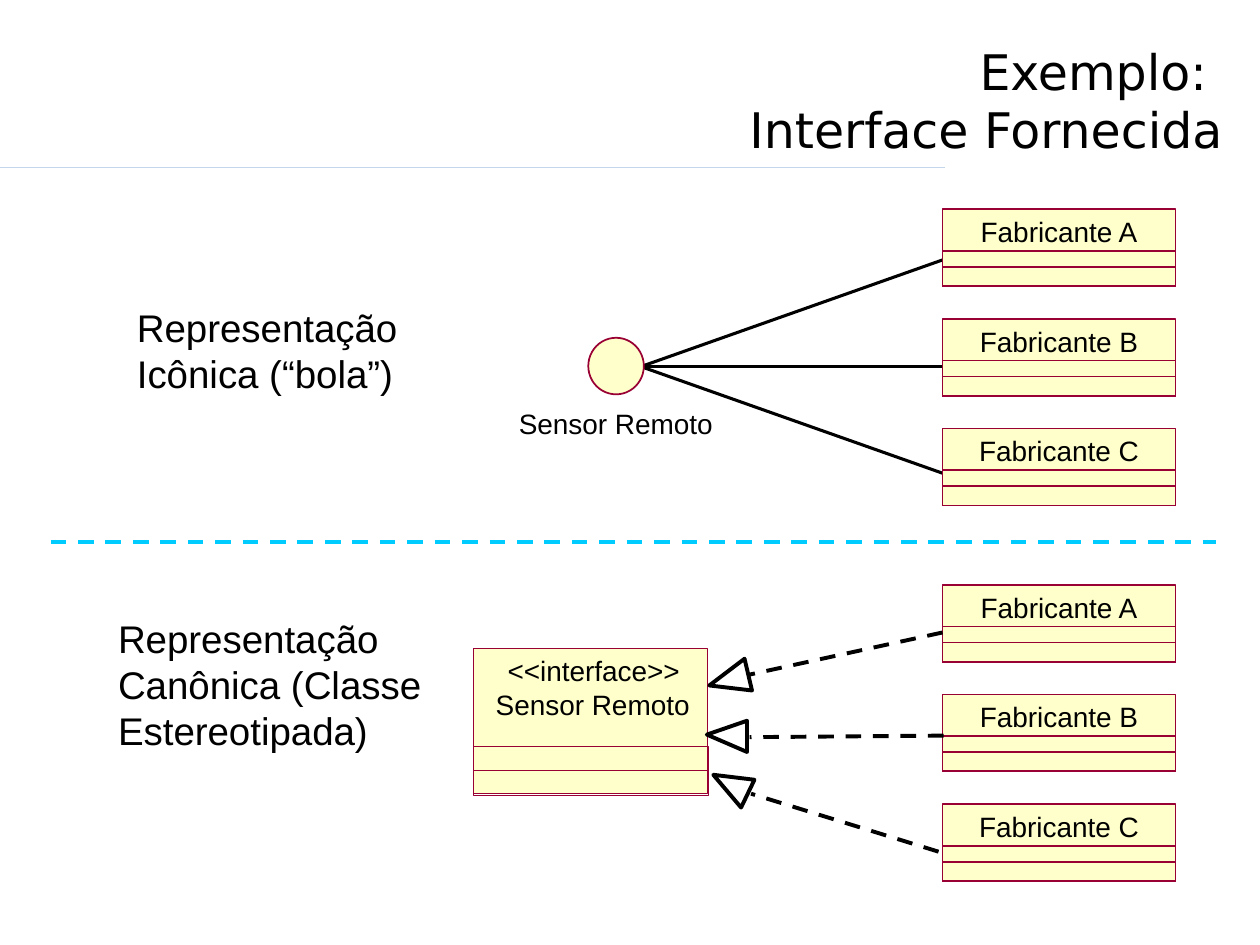
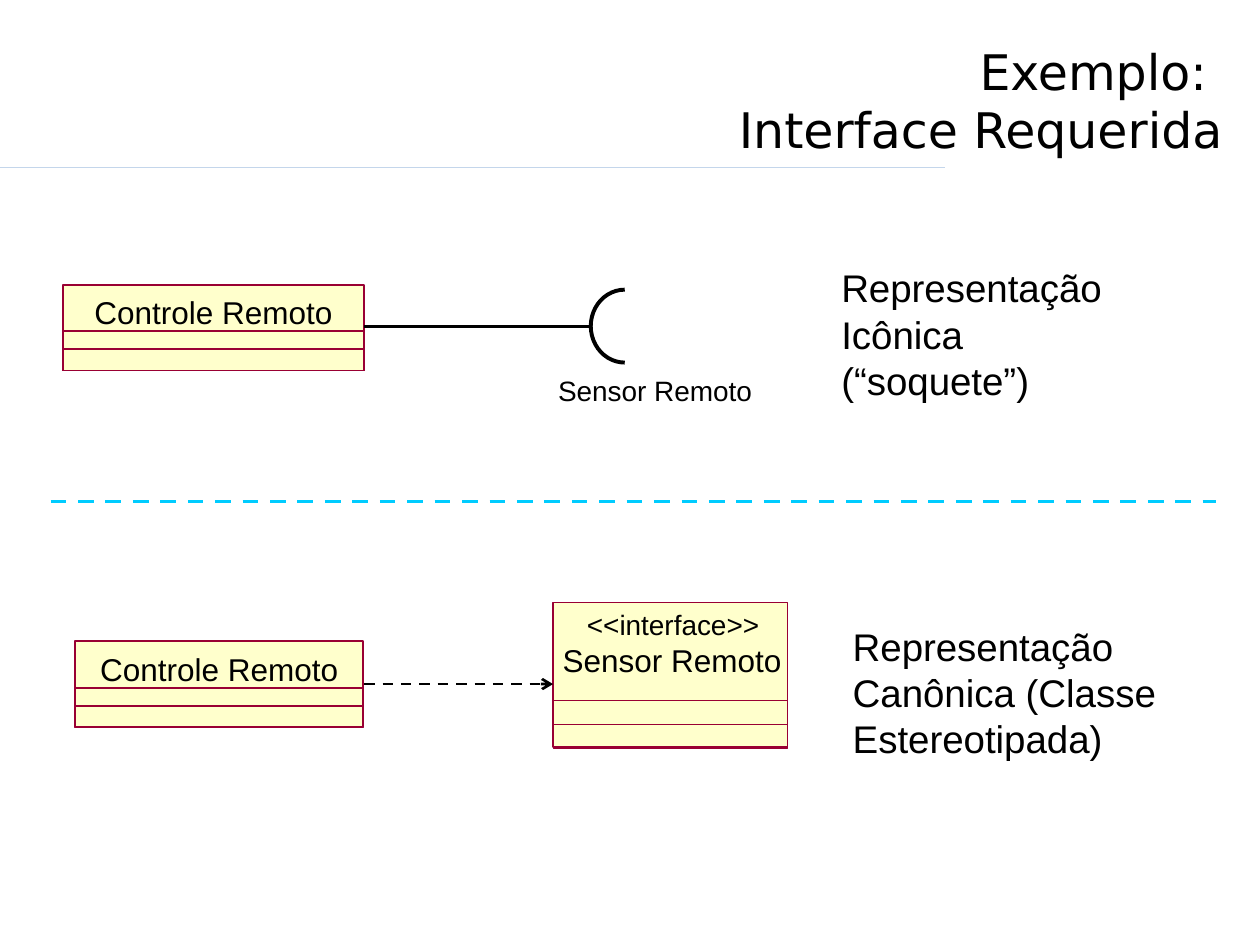
from lxml import etree
from pptx import Presentation
from pptx.dml.color import RGBColor
from pptx.enum.dml import MSO_LINE
from pptx.enum.shapes import MSO_CONNECTOR, MSO_SHAPE
from pptx.enum.text import MSO_ANCHOR, PP_ALIGN
from pptx.oxml.ns import qn
from pptx.util import Cm, Pt

RECT, OVAL, ARC = MSO_SHAPE.RECTANGLE, MSO_SHAPE.OVAL, MSO_SHAPE.ARC
STRAIGHT, DASH = MSO_CONNECTOR.STRAIGHT, MSO_LINE.DASH
LEFT, CENTER, RIGHT = PP_ALIGN.LEFT, PP_ALIGN.CENTER, PP_ALIGN.RIGHT
TOP, BOTTOM = MSO_ANCHOR.TOP, MSO_ANCHOR.BOTTOM
BLACK, CREAM, WINE, CYAN, PALE = "000000", "FFFFCC", "990033", "00CCFF", "C4D6EB"
MAKERS = ("Fabricante A", "Fabricante B", "Fabricante C")
PITCH = 2.21
CANON = "Representação Canônica (Classe Estereotipada)"


def paint(hue):
    """Return the colour of a hex string."""
    return RGBColor.from_string(hue)


def style(shape, hue, width, fill=None):
    """Set the outline and fill of a shape and drop its shadow."""
    shape.shadow.inherit = False
    shape.line.color.rgb = paint(hue)
    shape.line.width = Pt(width)
    if fill:
        shape.fill.solid()
        shape.fill.fore_color.rgb = paint(fill)
    else:
        shape.fill.background()


def form(shapes, kind, x, y, w, h, hue=WINE, width=1, fill=None):
    """Add a preset shape."""
    shape = shapes.add_shape(kind, Cm(x), Cm(y), Cm(w), Cm(h))
    style(shape, hue, width, fill)
    return shape


def line(shapes, x1, y1, x2, y2, hue=BLACK, width=1.75, dash=False, head=False):
    """Add a straight line, dashed or with an arrowhead if asked."""
    link = shapes.add_connector(STRAIGHT, Cm(x1), Cm(y1), Cm(x2), Cm(y2))
    link.line.color.rgb = paint(hue)
    link.line.width = Pt(width)
    if dash:
        link.line.dash_style = DASH
    if head:
        etree.SubElement(link.get_or_add_ln(), qn("a:tailEnd"), type="arrow")
    etree.SubElement(link.element.spPr, qn("a:effectLst"))


def write(shapes, text, x, y, w, h, size=16, font="Arial", align=LEFT,
          anchor=TOP, pad=(0, 0), wrap=True):
    """Add a text box."""
    frame = shapes.add_textbox(Cm(x), Cm(y), Cm(w), Cm(h)).text_frame
    frame.word_wrap = wrap
    frame.vertical_anchor = anchor
    frame.margin_left = frame.margin_right = Cm(pad[0])
    frame.margin_top = frame.margin_bottom = Cm(pad[1])
    para = frame.paragraphs[0]
    para.text = text
    para.alignment = align
    para.font.size = Pt(size)
    para.font.name = font
    para.font.color.rgb = paint(BLACK)


def note(shapes, text, x, y, w, h):
    """Add a large caption beside a diagram."""
    write(shapes, text, x, y, w, h, size=22, pad=(0.3, 0.15))


def block(shapes, name, x, y, w, h, size=16, gap=0.05):
    """Draw a class with two empty compartments."""
    group = shapes.add_group_shape().shapes
    form(group, RECT, x, y, w, h, fill=CREAM)
    for part in (0.54, 0.75):
        form(group, RECT, x, y + part * h, w, (1 - part) * h)
    high = size * 0.0425
    write(group, name, x + 0.25, y + 0.54 * h - high - gap, w - 0.5, high,
          size=size, align=CENTER)


def face(shapes, x, y, size):
    """Draw the interface class."""
    w = 4.72
    form(shapes, RECT, x, y, w, 2.92, width=0, fill=CREAM)
    form(shapes, RECT, x, y + 1.97, w, 0.98, width=0.25)
    line(shapes, x, y + 2.45, x + w, y + 2.45, WINE, 0.25)
    write(shapes, "<<interface>>", x + 0.06, y + 0.1, w, 0.68, align=CENTER)
    write(shapes, "Sensor Remoto", x + 0.04, y + 0.79, w, 0.72, size=size,
          align=CENTER)


def stack(shapes, x, y):
    """Draw the column of makers."""
    for row, name in enumerate(MAKERS):
        block(shapes, name, x, y + row * PITCH, 4.7, 1.55)


def ball(shapes, x, y):
    """Draw the provided interface as a ball."""
    for row in range(3):
        line(shapes, x + 19, y + 1.02 + row * 2.15, x + 12.92, y + 3.17)
    form(shapes, OVAL, x + 11.86, y + 2.59, 1.12, 1.14, fill=CREAM)
    write(shapes, "Sensor Remoto", x + 10.46, y + 3.98, 3.96, 0.68, wrap=False)
    stack(shapes, x + 19, y)
    note(shapes, "Representação Icônica (“bola”)", x + 2.46, y + 1.75, 6.55, 2.18)


def real(shapes, x, y):
    """Draw the makers that realise the interface class."""
    face(shapes, x + 9.55, y + 1.29, 16)
    stack(shapes, x + 19, y)
    for x1, y1, x2, y2 in ((19, 0.96, 15.06, 1.82), (19.02, 3.04, 15.11, 3.07),
                           (18.92, 5.38, 15.14, 4.21)):
        line(shapes, x + x1, y + y1, x + x2, y + y2, width=2.25, dash=True)
    for tip in (((14.3, 2.03), (15.16, 2.13), (15.01, 1.49)),
                ((14.25, 3.02), (15.06, 2.74), (15.06, 3.37)),
                ((14.38, 3.83), (15.21, 3.93), (14.94, 4.49))):
        dots = [(Cm(x + a), Cm(y + b)) for a, b in tip]
        path = shapes.build_freeform(*dots[0])
        path.add_line_segments(dots[1:], close=True)
        style(path.convert_to_shape(), BLACK, 2.25)
    note(shapes, CANON, x + 2.08, y + 0.45, 7.32, 3.12)


def socket(shapes, x, y):
    """Draw the required interface as a socket."""
    block(shapes, "Controle Remoto", x, y + 0.56, 6.07, 1.73, 18, 0)
    line(shapes, x + 6.07, y + 1.4, x + 10.67, y + 1.4, width=1.5)
    arc = form(shapes, ARC, x + 10.64, y + 0.66, 1.37, 1.47, BLACK, 2.25)
    arc.adjustments[0], arc.adjustments[1] = 54.0, 162.0
    write(shapes, "Sensor Remoto", x + 9.98, y + 2.36, 3.96, 0.68, wrap=False)
    note(shapes, "Representação Icônica (“soquete”)", x + 15.39, y, 6.55, 3.12)


def need(shapes, x, y):
    """Draw the class that depends on the interface class."""
    block(shapes, "Controle Remoto", x, y + 0.79, 5.8, 1.73, 18, 0)
    face(shapes, x + 9.63, y, 18)
    line(shapes, x + 5.82, y + 1.65, x + 9.63, y + 1.65, width=1.5, dash=True,
         head=True)
    note(shapes, CANON, x + 15.37, y + 0.26, 7.32, 3.12)


def page(deck, title, split):
    """Add a slide with title, rule and dashed divider; return its shapes."""
    shapes = deck.slides.add_slide(deck.slide_layouts[6]).shapes
    line(shapes, 0, 3.38, 19.05, 3.38, PALE, 0.75)
    write(shapes, title, 0.46, 0.69, 24.43, 2.64, size=28, font="DejaVu Sans",
          align=RIGHT, anchor=BOTTOM, pad=(0.25, 0.13))
    line(shapes, 1.02, split, 24.51, split, CYAN, 2.25, dash=True)
    return shapes


def main():
    """Build and save the deck."""
    deck = Presentation()
    deck.slide_width, deck.slide_height = Cm(25.4), Cm(19.05)
    shapes = page(deck, "Exemplo: \vInterface Fornecida", 10.92)
    ball(shapes, 0, 4.22)
    real(shapes, 0, 11.79)
    shapes = page(deck, "Exemplo: \vInterface Requerida", 10.11)
    socket(shapes, 1.27, 5.18)
    need(shapes, 1.52, 12.14)
    deck.save("out.pptx")


if __name__ == "__main__":
    main()
